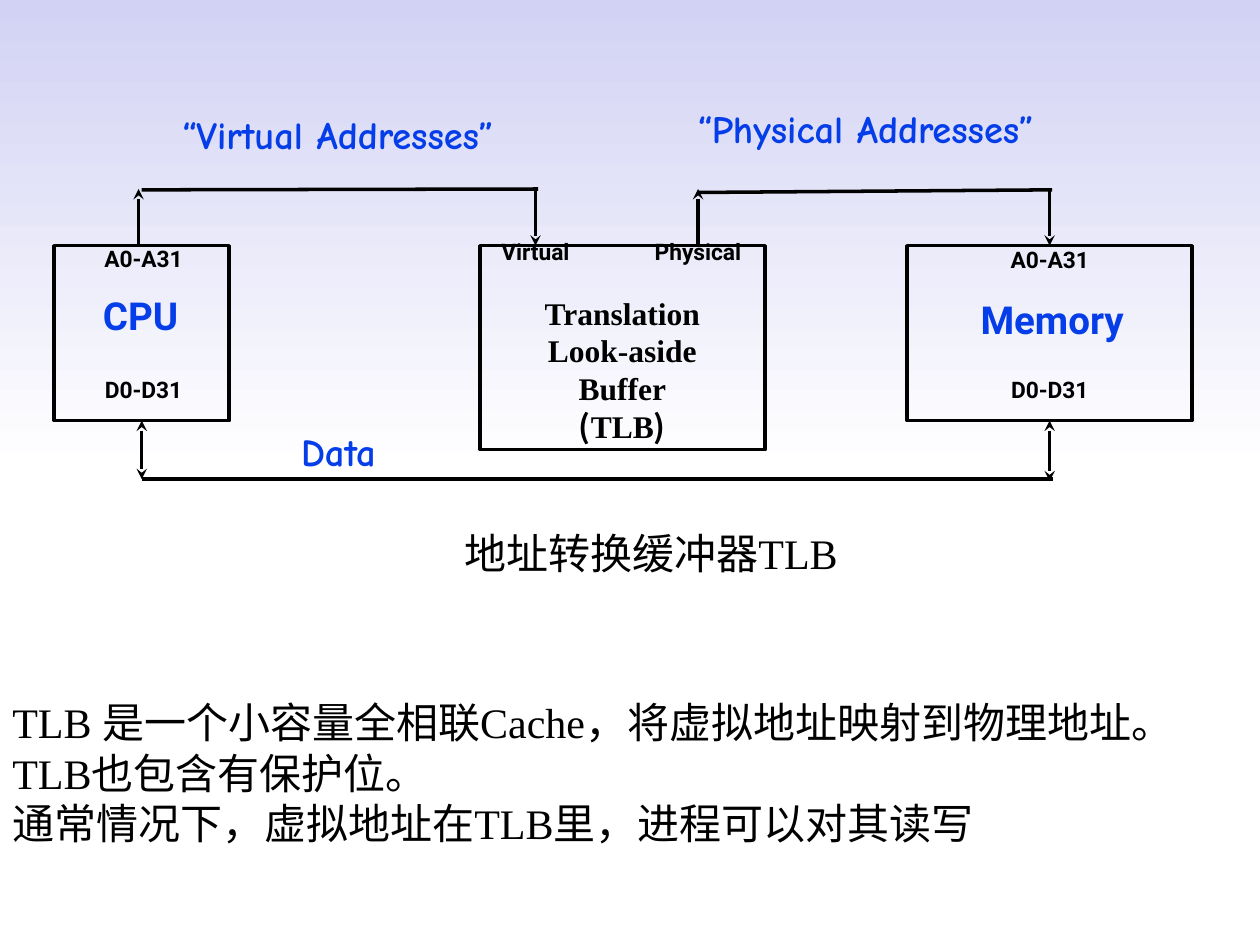
"""Build the slide on the translation look-aside buffer (TLB)."""
from dataclasses import dataclass

from lxml.etree import SubElement
from pptx import Presentation
from pptx.dml.color import RGBColor
from pptx.enum.shapes import MSO_CONNECTOR as Connector, MSO_SHAPE as Shape
from pptx.enum.text import MSO_AUTO_SIZE as AutoSize, PP_ALIGN as Align
from pptx.oxml.ns import qn
from pptx.util import Pt


@dataclass(frozen=True)
class Theme:
    sky: RGBColor = RGBColor(0xD2, 0xD2, 0xF4)
    white: RGBColor = RGBColor(0xFF, 0xFF, 0xFF)
    blue: RGBColor = RGBColor(0x05, 0x3D, 0xE8)
    black: RGBColor = RGBColor(0, 0, 0)
    hand: str = "Comic Neue"
    sans: str = "Roboto"
    serif: str = "Times New Roman"
    chinese: str = "Noto Sans CJK SC"
    pin: int = 13
    tlb: int = 18
    heading: int = 22
    body: int = 24
    stroke: int = 2


theme = Theme()
HEADING = {"name": theme.hand, "size": Pt(theme.heading), "bold": True}
UNIT = {"name": theme.sans, "size": Pt(theme.heading), "bold": True}
PIN = {"name": theme.sans, "size": Pt(theme.pin), "bold": True}
TLB = {"name": theme.serif, "size": Pt(theme.tlb), "bold": True}
BODY = {"name": theme.serif, "size": Pt(theme.body), "bold": False}

deck = Presentation()
deck.slide_width, deck.slide_height = Pt(720), Pt(540)
slide = deck.slides.add_slide(deck.slide_layouts[6])

backdrop = slide.background.fill
backdrop.gradient()
backdrop.gradient_angle = 270
for stop, position, color in zip(backdrop.gradient_stops, (0, 0.5), (theme.sky, theme.white)):
    stop.position = position
    stop.color.rgb = color


def write(lines, left, top, width, height, style, color=theme.black,
          align=Align.CENTER, spacing=None, inset=False):
    """Add a text box; each line is a list of (text, font name or None) runs."""
    box = slide.shapes.add_textbox(Pt(left), Pt(top), Pt(width), Pt(height))
    frame = box.text_frame
    frame.word_wrap = spacing is None
    frame.auto_size = AutoSize.SHAPE_TO_FIT_TEXT
    if not inset:
        for side in ("left", "right", "top", "bottom"):
            setattr(frame, f"margin_{side}", 0)
    for index, line in enumerate(lines):
        paragraph = frame.add_paragraph() if index else frame.paragraphs[0]
        paragraph.alignment = align
        if spacing:
            paragraph.line_spacing = Pt(spacing)
        for text, font_name in line:
            run = paragraph.add_run()
            run.text = text
            for key, value in style.items():
                setattr(run.font, key, value)
            run.font.name = font_name or style["name"]
            run.font.color.rgb = color
            SubElement(run.font._element, qn("a:ea")).set("typeface", theme.chinese)


def link(start, end, head=False, tail=False, begin_at=None, end_at=None):
    """Add a straight line with optional arrowheads and (box, site) joins."""
    line = slide.shapes.add_connector(Connector.STRAIGHT, *map(Pt, start + end))
    line.line.color.rgb = theme.black
    line.line.width = Pt(theme.stroke)
    if begin_at:
        line.begin_connect(*begin_at)
    if end_at:
        line.end_connect(*end_at)
    outline = line.line._get_or_add_ln()
    for tag, wanted in (("a:headEnd", head), ("a:tailEnd", tail)):
        if wanted:
            SubElement(outline, qn(tag)).set("type", "stealth")
    SubElement(line._element.spPr, qn("a:effectLst"))


boxes = []
for left, width, height in ((31, 100, 100), (518.4, 162.8, 100), (274.4, 162.8, 116.6)):
    box = slide.shapes.add_shape(Shape.RECTANGLE, Pt(left), Pt(140.4), Pt(width), Pt(height))
    box.shadow.inherit = False
    box.fill.background()
    box.line.color.rgb = theme.black
    box.line.width = Pt(theme.stroke)
    boxes.append(box)
cpu, memory, _ = boxes

cpu_x, memory_x, virtual_x, physical_x = 81, 599.8, 306, 398.9
bus_y, box_top, box_bottom, data_y = 108.5, 140.4, 240.4, 273.8

link((cpu_x, bus_y), (virtual_x + 1.5, 108))
link((79.2, 108), (79.2, box_top), head=True)
link((virtual_x, bus_y), (virtual_x, box_top), tail=True)
link((physical_x, 110), (601.2, bus_y))
link((physical_x, 108), (physical_x, box_top), head=True)
link((memory_x, bus_y), (memory_x, box_top), tail=True, end_at=(memory, 0))
link((cpu_x, data_y), (602, data_y))
link((cpu_x, box_bottom), (cpu_x, data_y), head=True, tail=True, begin_at=(cpu, 2))
link((memory_x, box_bottom), (memory_x, 275), head=True, tail=True, begin_at=(memory, 2))

for text, left, top, width in (
    ("“Virtual Addresses”", 85, 63.4, 216),
    ("“Physical Addresses”", 386.6, 59.8, 216),
    ("Data", 157, 244.8, 72.7),
):
    write([[(text, None)]], left, top, width, 26.6, HEADING, theme.blue)

for text, left, width, spacing in (("CPU", 56.9, 46.8, 17), ("Memory", 558.7, 85, 19)):
    write([[(text, None)]], left, 176.4, width, spacing, UNIT, theme.blue, spacing=spacing)

for text, left, top, width in (
    ("A0-A31", 59.5, 148.3, 45),
    ("D0-D31", 59.5, 223.2, 45),
    ("A0-A31", 577.4, 149, 45),
    ("D0-D31", 577.4, 223.2, 45),
    ("Virtual", 285.8, 144.7, 40.3),
    ("Physical", 372.2, 144.7, 53.3),
):
    write([[(text, None)]], left, top, width, 7, PIN, spacing=7)

write([[("Translation Look-aside Buffer", None)],
       [("(", theme.chinese), ("TLB", None), (")", theme.chinese)]],
      285.8, 164.2, 139.7, 94.3, TLB, inset=True)
write([[("地址转换缓冲器TLB", None)]], 190, 298, 364, 36, BODY, inset=True)
write([[("TLB 是一个小容量全相联Cache，将虚拟地址映射到物理地址。", None)],
       [("TLB也包含有保护位。", None)],
       [("通常情况下，虚拟地址在TLB里，进程可以对其读写", None)]],
      0, 394.6, 720, 94.3, BODY, align=Align.LEFT, inset=True)

deck.save("out.pptx")
